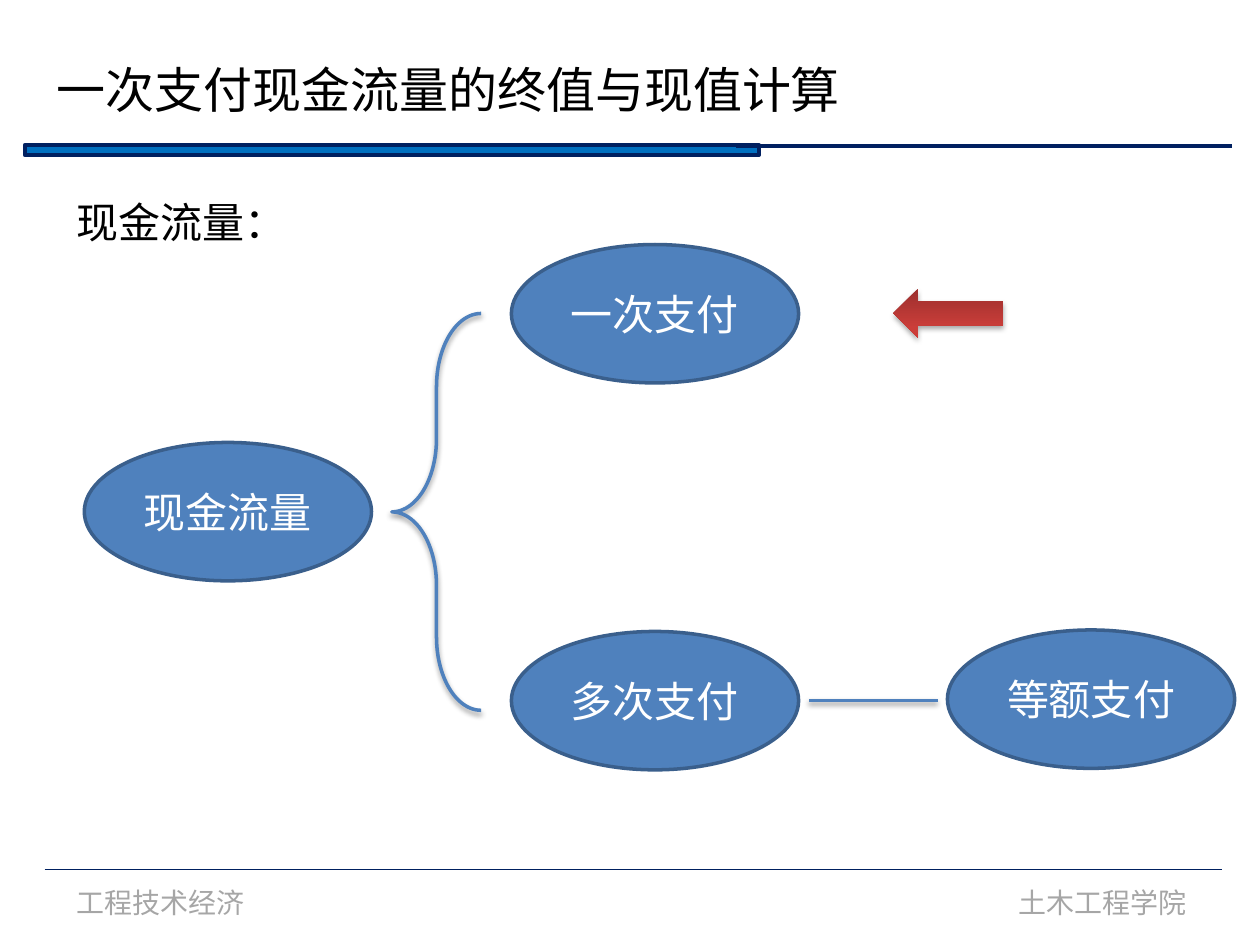
import copy
import pptx
import pptx.dml.color
import pptx.enum.shapes
import pptx.enum.text
import pptx.oxml
import pptx.oxml.ns
import pptx.util

Cm, Pt = pptx.util.Cm, pptx.util.Pt
RGB = pptx.dml.color.RGBColor.from_string
SHAPE = pptx.enum.shapes.MSO_SHAPE
STRAIGHT = pptx.enum.shapes.MSO_CONNECTOR.STRAIGHT
ALIGN, ANCHOR = pptx.enum.text.PP_ALIGN, pptx.enum.text.MSO_ANCHOR
qn = pptx.oxml.ns.qn

COLORS = {
    "navy": "002060", "bar": "0070C0", "blue": "4F81BD", "edge": "3A5F8C",
    "grey": "A6A6A6", "black": "000000", "white": "FFFFFF",
    "red_dark": "9C2F2D", "red": "CB3E3A", "red_end": "CE3B37",
}
CJK = "Noto Sans CJK SC"


def write(shape, text, size, color, font):
    p = shape.text_frame.paragraphs[0]
    p.text = text
    r = p.runs[0]
    r.font.size = Pt(size)
    r.font.name = font
    r.font.color.rgb = RGB(COLORS[color])
    if font == CJK:
        ea = r.font._element.makeelement(qn("a:ea"), {"typeface": font})
        r.font._element.find(qn("a:latin")).addnext(ea)
    return p


def set_effects(shape, alpha=None, distance=0):
    shadow = "" if alpha is None else (
        f'<a:outerShdw blurRad="{Pt(3.1)}" dist="{Pt(distance)}" dir="5400000" rotWithShape="0">'
        f'<a:srgbClr val="{COLORS["black"]}"><a:alpha val="{alpha * 1000}"/></a:srgbClr></a:outerShdw>')
    shape._element.spPr.append(pptx.oxml.parse_xml(
        f'<a:effectLst xmlns:a="{pptx.oxml.ns.nsdecls("a").split(chr(34))[1]}">{shadow}</a:effectLst>'))


prs = pptx.Presentation()
prs.slide_width, prs.slide_height = Cm(25.4), Cm(19.05)
s = prs.slides.add_slide(prs.slide_layouts[6])

bar = s.shapes.add_shape(SHAPE.RECTANGLE, Cm(0.5), Cm(2.92), Cm(14.8), Cm(0.21))
bar.fill.solid()
bar.fill.fore_color.rgb = RGB(COLORS["bar"])
bar.line.color.rgb = RGB(COLORS["navy"])
bar.line.width = Pt(2)
bar.shadow.inherit = False

for x1, x2, y, color, width, alpha in [
    (14.83, 24.84, 2.95, "navy", 2.25, None),
    (0.9, 24.64, 17.53, "navy", 0.75, None),
    (16.31, 18.9, 14.12, "blue", 2, 38),
]:
    line = s.shapes.add_connector(STRAIGHT, Cm(x1), Cm(y), Cm(x2), Cm(y))
    line.line.color.rgb = RGB(COLORS[color])
    line.line.width = Pt(width)
    set_effects(line, alpha, 1.6)

for text, x, y, w, h, size, color, font, wrap in [
    ("工程技术经济", 1.3, 17.73, 3.94, 0.94, 16, "grey", "Calibri", False),
    ("土木工程学院", 20.29, 17.73, 3.94, 0.94, 16, "grey", "Calibri", False),
    ("一次支付现金流量的终值与现值计算", 0.9, 1.07, 16.46, 1.45, 28, "black", CJK, False),
    ("现金流量：", 1.3, 3.84, 23.01, 1.27, 24, "black", CJK, True),
]:
    box = s.shapes.add_textbox(Cm(x), Cm(y), Cm(w), Cm(h))
    box.text_frame.word_wrap = wrap
    write(box, text, size, color, font)

for text, x, y in [
    ("现金流量", 1.7, 8.92),
    ("一次支付", 10.31, 4.93),
    ("多次支付", 10.31, 12.73),
    ("等额支付", 19.1, 12.7),
]:
    oval = s.shapes.add_shape(SHAPE.OVAL, Cm(x), Cm(y), Cm(5.79), Cm(2.79))
    oval.fill.solid()
    oval.fill.fore_color.rgb = RGB(COLORS["blue"])
    oval.line.color.rgb = RGB(COLORS["edge"])
    oval.line.width = Pt(2)
    oval.shadow.inherit = False
    oval.text_frame.vertical_anchor = ANCHOR.MIDDLE
    write(oval, text, 24, "white", CJK).alignment = ALIGN.CENTER

brace = s.shapes.add_shape(SHAPE.LEFT_BRACE, Cm(7.9), Cm(6.32), Cm(1.8), Cm(8))
brace.adjustments[0] = 0.82
brace.fill.background()
brace.line.color.rgb = RGB(COLORS["blue"])
brace.line.width = Pt(2)
set_effects(brace, 38, 1.6)

arrow = s.shapes.add_shape(SHAPE.RIGHT_ARROW, Cm(18.01), Cm(5.82), Cm(2.21), Cm(0.99))
arrow.rotation = 180
arrow.fill.gradient()
arrow.fill.gradient_angle = 90
stop_list = arrow._element.spPr.find(qn("a:gradFill")).find(qn("a:gsLst"))
stop_list.append(copy.deepcopy(stop_list[-1]))
for stop, (position, color) in zip(
        arrow.fill.gradient_stops, [(0, "red_dark"), (0.8, "red"), (1, "red_end")]):
    stop.position = position
    stop.color.rgb = RGB(COLORS[color])
arrow.line.fill.background()
set_effects(arrow, 35, 1.8)

prs.save("out.pptx")
